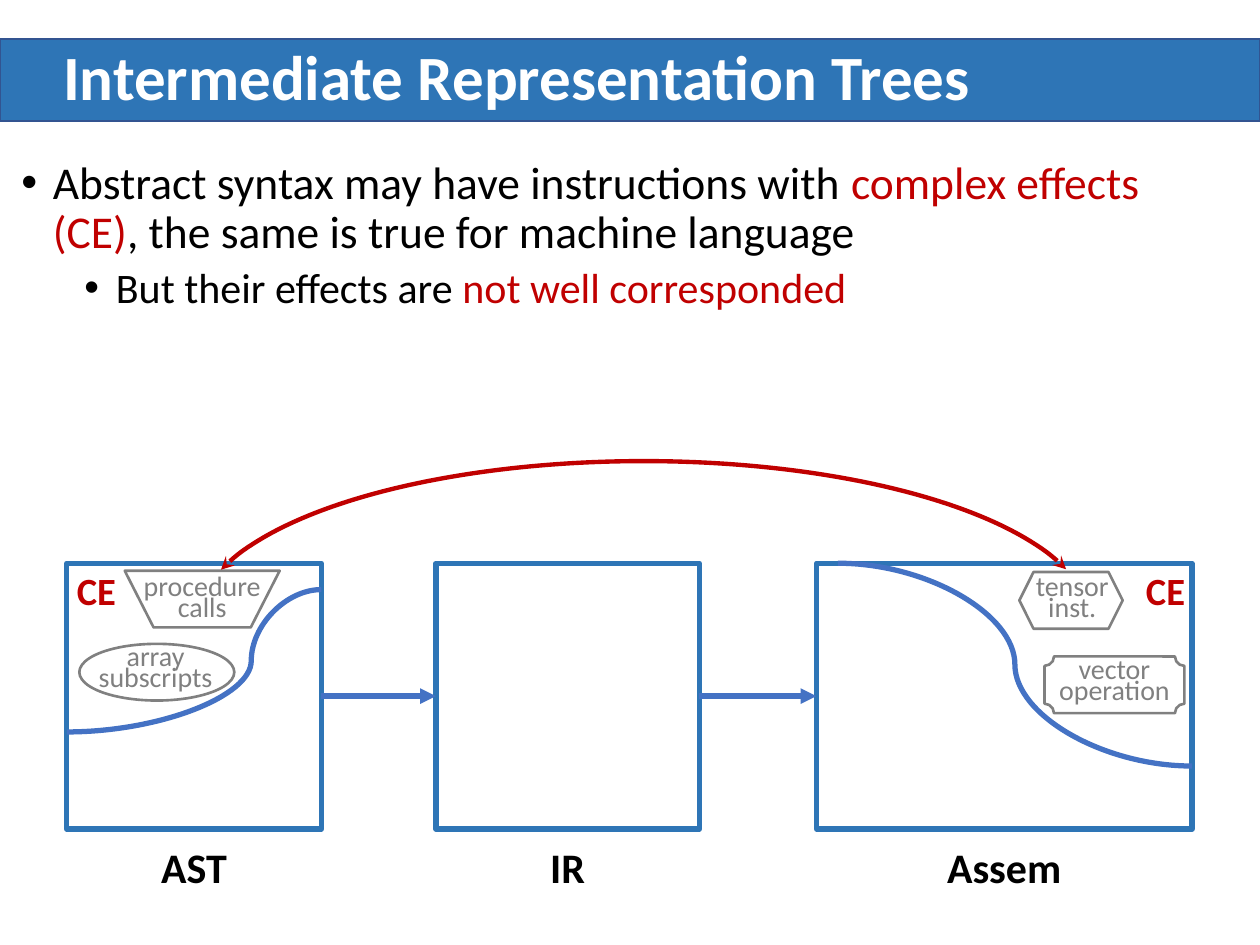
import pptx
import pptx.dml.color
import pptx.enum.shapes
import pptx.enum.text
import pptx.oxml
import pptx.oxml.ns
import pptx.util

SHAPE = pptx.enum.shapes.MSO_SHAPE
CONNECTOR = pptx.enum.shapes.MSO_CONNECTOR
ALIGN = pptx.enum.text.PP_ALIGN
ANCHOR = pptx.enum.text.MSO_ANCHOR
AUTO_SIZE = pptx.enum.text.MSO_AUTO_SIZE

COLORS = {
    "bar": "2E75B6", "bar_edge": "325491", "flow": "4472C4", "accent": "C00000",
    "note": "808080", "text": "000000", "title": "FFFFFF",
}
COLUMNS, ROWS = 100, 75


def color(name):
    return pptx.dml.color.RGBColor.from_string(COLORS[name])


def add_xml(parent, tag, **attributes):
    element = pptx.oxml.parse_xml(f"<a:{tag} {pptx.oxml.ns.nsdecls('a')}/>")
    for name, value in attributes.items():
        element.set(name, str(value))
    parent.append(element)


class SlideBuilder:
    """Draws on one slide; lengths are columns and rows of a 100 x 75 grid."""

    font = "Calibri"

    def __init__(self, deck):
        self.page = deck.slides.add_slide(deck.slide_layouts[1])
        self.column = deck.slide_width / COLUMNS
        self.row = deck.slide_height / ROWS

    def grid(self, *lengths):
        """Turn alternating columns and rows into slide units."""
        units = (self.column, self.row)
        return [round(length * units[i % 2]) for i, length in enumerate(lengths)]

    def place(self, shape, area):
        shape.left, shape.top, shape.width, shape.height = self.grid(*area)

    def add_spans(self, para, spans, size, bold=False):
        for text, name in spans:
            span = para.add_run()
            span.text = text
            span.font.name, span.font.size = self.font, pptx.util.Pt(size)
            span.font.bold, span.font.color.rgb = bold, color(name)

    def title(self, text, area):
        box = self.page.shapes.title
        self.place(box, area)
        frame = box.text_frame
        frame.auto_size, frame.vertical_anchor = AUTO_SIZE.NONE, ANCHOR.MIDDLE
        para = frame.paragraphs[0]
        para.alignment, para.line_spacing = ALIGN.LEFT, 0.9
        self.add_spans(para, [(text, "title")], 36, True)

    def bullets(self, items, area):
        """Fill the body from (level, size, indent in inches, spans) items."""
        box = self.page.placeholders[1]
        self.place(box, area)
        frame = box.text_frame
        frame.auto_size, frame.vertical_anchor = AUTO_SIZE.NONE, ANCHOR.TOP
        for i, (level, size, indent, spans) in enumerate(items):
            para = frame.add_paragraph() if i else frame.paragraphs[0]
            para.level = level
            properties = para._p.get_or_add_pPr()
            properties.set("marL", str(pptx.util.Inches(indent)))
            properties.set("indent", str(pptx.util.Inches(-0.25)))
            add_xml(properties, "buFont", typeface="Arial")
            add_xml(properties, "buChar", char="•")
            para.line_spacing = 0.9
            para.space_before = pptx.util.Pt(5 if i else 0)
            self.add_spans(para, spans, size)

    def shape(self, kind, area, line, width, fill=None):
        shape = self.page.shapes.add_shape(kind, *self.grid(*area))
        shape.shadow.inherit = False
        if fill:
            shape.fill.solid()
            shape.fill.fore_color.rgb = color(fill)
        else:
            shape.fill.background()
        shape.line.color.rgb, shape.line.width = color(line), pptx.util.Pt(width)
        return shape

    def title_bar(self, area):
        bar = self.shape(SHAPE.RECTANGLE, area, "bar_edge", 1, "bar")
        self.page.shapes._spTree.insert(2, bar._element)

    def label(self, lines, area, size, name, bold=False, spacing=None):
        box = self.page.shapes.add_textbox(*self.grid(*area))
        frame = box.text_frame
        frame.word_wrap = spacing is not None
        for i, text in enumerate(lines):
            para = frame.add_paragraph() if i else frame.paragraphs[0]
            para.alignment = ALIGN.CENTER
            if spacing:
                para.line_spacing = pptx.util.Pt(spacing)
            self.add_spans(para, [(text, name)], size, bold)

    def connector(self, kind, start, end):
        line = self.page.shapes.add_connector(kind, *self.grid(*start, *end))
        line.line.color.rgb, line.line.width = color("flow"), pptx.util.Pt(3)
        add_xml(line._element.spPr, "effectLst")
        return line

    def arrow(self, start, end):
        line = self.connector(CONNECTOR.STRAIGHT, start, end)
        add_xml(line.line._get_or_add_ln(), "tailEnd", type="triangle")

    def curve(self, start, end, bend):
        line = self.connector(CONNECTOR.CURVE, start, end)
        guides = line._element.spPr.prstGeom.get_or_add_avLst()
        add_xml(guides, "gd", name="adj1", fmla=f"val {round(bend * 100000)}")

    def double_arc(self, area, angles):
        arc = self.shape(SHAPE.ARC, area, "accent", 2.5)
        for i, degrees in enumerate(angles):
            arc.adjustments[i] = degrees * 0.6
        for tag in ("headEnd", "tailEnd"):
            add_xml(arc.line._get_or_add_ln(), tag, type="stealth")


def main():
    deck = pptx.Presentation()
    deck.slide_width, deck.slide_height = pptx.util.Inches(10), pptx.util.Inches(7.5)
    slide = SlideBuilder(deck)

    slide.title_bar((0, 3.1, 100, 6.5))
    slide.title("Intermediate Representation Trees", (4, 3.1, 92.4, 6.5))
    slide.bullets([
        (0, 26, 0.25, [("Abstract syntax may have instructions with ", "text"),
                       ("complex effects (CE)", "accent"),
                       (", the same is true for machine language", "text")]),
        (1, 24, 0.75, [("But their effects are ", "text"),
                       ("not well corresponded", "accent")]),
    ], (0.7, 12.2, 98.2, 15.4))

    # Compiler stages: name, left, width, label width
    top, height = 44.7, 21.1
    stages = [("AST", 5.3, 20.2, 7.3), ("IR", 34.6, 20.9, 4.8), ("Assem", 64.8, 29.8, 11.2)]
    for name, left, width, label_width in stages:
        slide.shape(SHAPE.RECTANGLE, (left, top, width, height), "bar", 3)
        label_left = left + (width - label_width) / 2
        slide.label([name], (label_left, 66.3, label_width, 5), 24, "text", True)
    middle = top + height / 2
    for (_, left, width, _), (_, next_left, _, _) in zip(stages, stages[1:]):
        slide.arrow((left + width, middle), (next_left, middle))

    slide.curve((5.3, 58.1), (25.5, 46.8), 0.725)
    slide.curve((66.5, top), (94.6, 60.8), 0.5)
    for left, width in ((4.6, 6.1), (89.6, 5.8)):
        slide.label(["CE"], (left, 44.5, width, 4.7), 22, "accent", True)

    # Complex effects: outline, its area, words, their area
    effects = [
        (SHAPE.OVAL, (6.3, 51.1, 12.3), ["array", "subscripts"], (6.8, 51.2, 11.1)),
        (SHAPE.TRAPEZOID, (9.9, 45.3, 12.3), ["procedure", "calls"], (10.2, 45.6, 11.7)),
        (SHAPE.PLAQUE, (82.9, 52.1, 11.1), ["vector", "operation"], (82.9, 52.2, 11.1)),
        (SHAPE.HEXAGON, (80.9, 45.4, 8.2), ["tensor", "inst."], (81, 45.6, 8.2)),
    ]
    for kind, outline_area, words, words_area in effects:
        outline = slide.shape(kind, (*outline_area, 4.5), "note", 1.5)
        if kind == SHAPE.TRAPEZOID:
            outline.adjustments[0] = 0.51
            outline._element.spPr.xfrm.set("flipV", "1")
        slide.label(words, (*words_area, 4.5), 16, "note", spacing=12)

    slide.double_arc((15.6, 36.6, 71, 25.6), (187.1, 352.83))
    deck.save("out.pptx")


if __name__ == "__main__":
    main()
